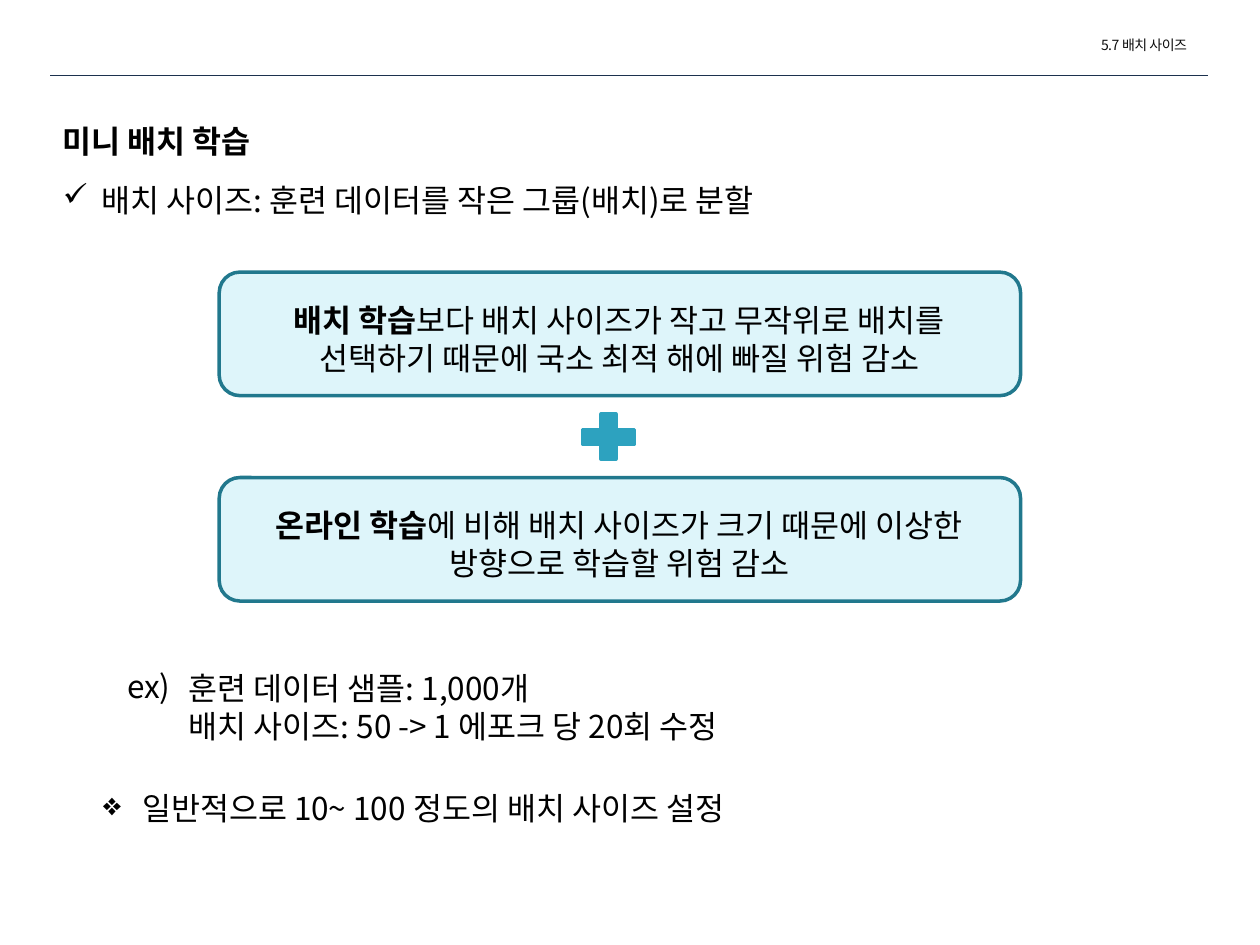
from dataclasses import dataclass
from lxml.etree import SubElement
from pptx import Presentation
from pptx.dml.color import RGBColor
from pptx.enum.shapes import MSO_CONNECTOR, MSO_SHAPE
from pptx.enum.text import PP_ALIGN
from pptx.oxml.ns import qn
from pptx.util import Inches, Pt


@dataclass(frozen=True)
class Theme:
    font: str = "Noto Sans CJK KR"
    body: float = 18
    small: float = 8
    leading: float = 1.205
    ink: str = "000000"
    header: str = "0D0D0D"
    rule: str = "1C314E"
    panel: str = "DEF5FA"
    border: str = "21788D"
    accent: str = "2DA2BF"


THEME = Theme()
WIDTH, HEIGHT = 10, 7.5
HEADER = "5.7 배치 사이즈"
TITLE = "미니 배치 학습"
DEFINITION = "배치 사이즈: 훈련 데이터를 작은 그룹(배치)로 분할"
BENEFITS = [
    ("배치 학습", "보다 배치 사이즈가 작고 무작위로 배치를 선택하기 때문에 국소 최적 해에 빠질 위험 감소"),
    ("온라인 학습", "에 비해 배치 사이즈가 크기 때문에 이상한 방향으로 학습할 위험 감소"),
]
EXAMPLE_LABEL = "ex)"
EXAMPLE = ["훈련 데이터 샘플: 1,000개", "배치 사이즈: 50 -> 1 에포크 당 20회 수정"]
ADVICE = "일반적으로 10~ 100 정도의 배치 사이즈 설정"

MARGIN = 0.4
PANEL_LEFT, PANEL_TOP, PANEL_WIDTH, PANEL_HEIGHT = 1.74, 2.16, 6.36, 0.98
PANEL_STEP = 1.63
PANEL_INSET, PANEL_PAD = 0.07, 0.175
HANG = 0.31

deck = Presentation()
deck.slide_width, deck.slide_height = Inches(WIDTH), Inches(HEIGHT)
slide = deck.slides.add_slide(deck.slide_layouts[6])


def color(code):
    return RGBColor.from_string(code)


def place(*lengths):
    return [Inches(length) for length in lengths]


def add_text(box, lines, size=THEME.body, ink=THEME.ink, align=PP_ALIGN.LEFT, gap=0):
    frame = slide.shapes.add_textbox(*place(*box)).text_frame
    frame.word_wrap = True
    for index, runs in enumerate(lines):
        paragraph = frame.add_paragraph() if index else frame.paragraphs[0]
        paragraph.alignment = align
        paragraph.line_spacing = Pt(size * THEME.leading)
        paragraph.space_before = Pt(gap if index else 0)
        font = paragraph.font
        font.name, font.size = THEME.font, Pt(size)
        font.color.rgb = color(ink)
        defaults = paragraph._p.pPr.find(qn("a:defRPr"))
        SubElement(defaults, qn("a:ea")).set("typeface", THEME.font)
        for words, bold in runs:
            run = paragraph.add_run()
            run.text, run.font.bold = words, bold
    return frame.paragraphs


def add_bullet(paragraph, mark):
    properties = paragraph._p.get_or_add_pPr()
    properties.set("marL", str(Inches(HANG)))
    properties.set("indent", str(-Inches(HANG)))
    bullet = SubElement(properties, qn("a:buChar"))
    bullet.set("char", mark)
    properties.find(qn("a:defRPr")).addprevious(bullet)


def add_figure(kind, box, fill, line):
    figure = slide.shapes.add_shape(kind, *place(*box))
    figure.shadow.inherit = False
    figure.fill.solid()
    figure.fill.fore_color.rgb = color(fill)
    figure.line.color.rgb = color(line)
    figure.line.width = Pt(2)


heading = add_text((8.64, 0.24, 1.73, 0.24), [[(HEADER, False)]], THEME.small, THEME.header)
heading[0]._p.pPr.find(qn("a:defRPr")).set("spc", "-30")

rule = slide.shapes.add_connector(
    MSO_CONNECTOR.STRAIGHT, *place(MARGIN, 0.6, WIDTH - MARGIN - 0.01, 0.6))
rule.line.color.rgb = color(THEME.rule)
rule.line.width = Pt(0.25)
SubElement(rule._element.spPr, qn("a:effectLst"))

intro = add_text((MARGIN, 0.92, 9.43, 0.88),
                 [[(TITLE, True)], [(DEFINITION, False)]], gap=12)
add_bullet(intro[1], "✓")

for row, (subject, benefit) in enumerate(BENEFITS):
    top = PANEL_TOP + row * PANEL_STEP
    add_figure(MSO_SHAPE.FLOWCHART_ALTERNATE_PROCESS,
               (PANEL_LEFT, top, PANEL_WIDTH, PANEL_HEIGHT), THEME.panel, THEME.border)
    add_text((PANEL_LEFT + PANEL_INSET, top + PANEL_PAD, PANEL_WIDTH - 0.15, 1.01),
             [[(subject, True), (benefit, False)]], align=PP_ALIGN.CENTER)

add_figure(MSO_SHAPE.MATH_PLUS, (4.55, 3.22, 0.56, 0.49), THEME.accent, THEME.accent)

add_text((1.4, 5.26, 5.12, 0.71), [[(fact, False)] for fact in EXAMPLE])
add_text((0.91, 5.24, 0.72, 0.4), [[(EXAMPLE_LABEL, False)]])
advice = add_text((0.72, 6.21, 8.23, 0.4), [[(ADVICE, False)]])
add_bullet(advice[0], "❖")

deck.save("out.pptx")
